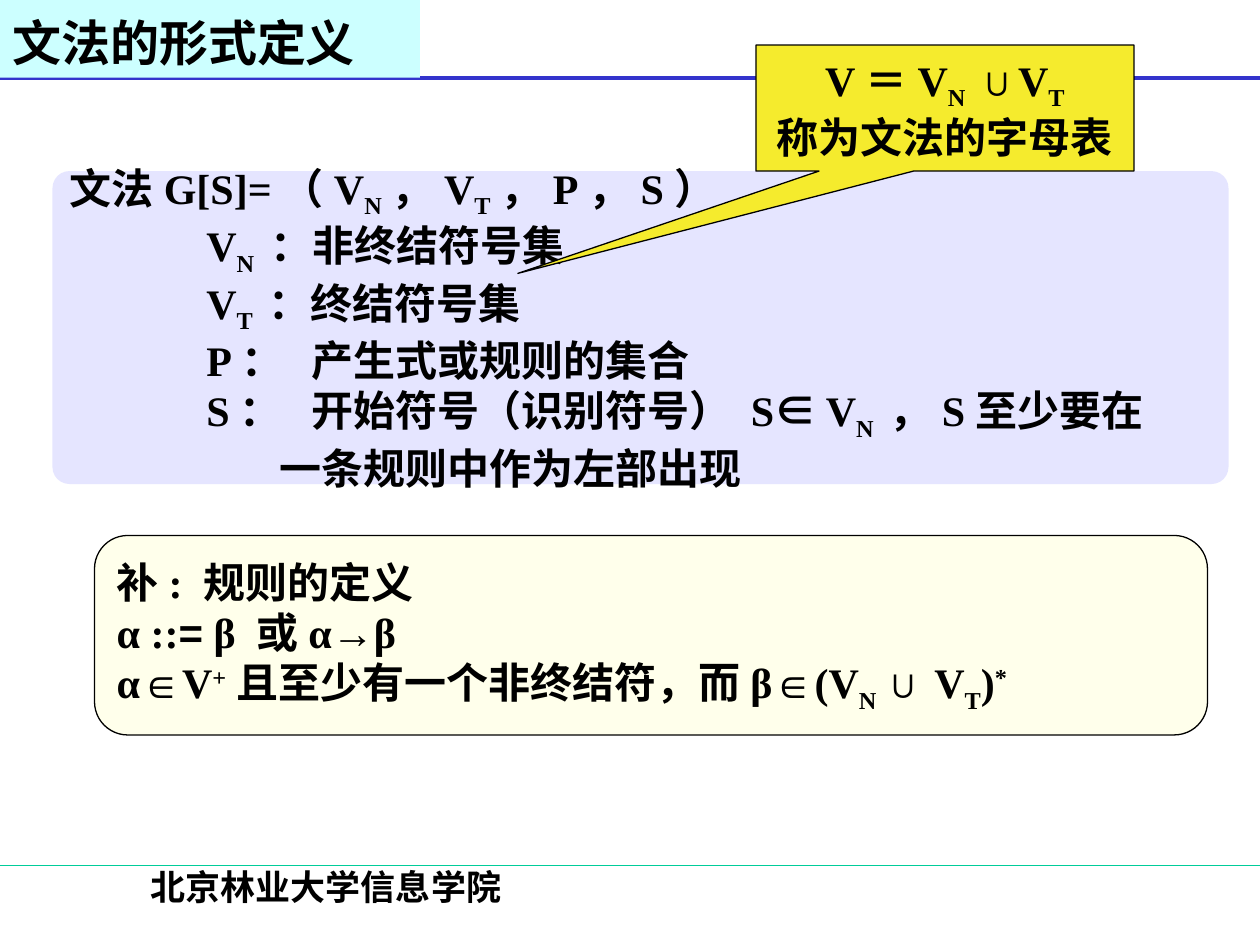
"""Build a slide on the formal definition of a grammar."""
import lxml.etree
import pptx
import pptx.dml.color
import pptx.enum.shapes
import pptx.enum.text
import pptx.oxml.ns
import pptx.util

SHAPE = pptx.enum.shapes.MSO_SHAPE
ANCHOR = pptx.enum.text.MSO_ANCHOR
ALIGN = pptx.enum.text.PP_ALIGN
SERIF, SANS, CHINESE = "Times New Roman", "Arial", "Noto Sans CJK SC"
SUB, SUPER = -25, 30

presentation = pptx.Presentation()
presentation.slide_width = pptx.util.Inches(10)
presentation.slide_height = pptx.util.Inches(7.5)
COLUMN = presentation.slide_width / 120
ROW = presentation.slide_height / 90
slide = presentation.slides.add_slide(presentation.slide_layouts[6])


def color(value):
    """Turn a hex string into a colour."""
    return pptx.dml.color.RGBColor.from_string(value)


def write(paragraph, pieces, size=24, align=ALIGN.LEFT, margin=0, hanging=0):
    """Write pieces, each a text or a (text, baseline or font) pair."""
    paragraph.alignment = align
    properties = paragraph._p.get_or_add_pPr()
    properties.set("marL", str(round(margin * COLUMN)))
    properties.set("indent", str(round(-hanging * COLUMN)))
    for piece in pieces:
        text, style = (piece, SERIF) if isinstance(piece, str) else piece
        run = paragraph.add_run()
        run.text = text
        run.font.size = pptx.util.Pt(size)
        run.font.bold = True
        run.font.color.rgb = color("000000")
        run.font.name = style if isinstance(style, str) else SERIF
        run_properties = run._r.get_or_add_rPr()
        run_properties.set("lang", "zh-CN")
        lxml.etree.SubElement(run_properties, pptx.oxml.ns.qn("a:ea"), typeface=CHINESE)
        if not isinstance(style, str):
            run_properties.set("baseline", str(style * 1000))


for row, line_color, weight in [(7.4, "3333CC", 2.25), (82.4, "00CC99", 0.75)]:
    y = round(row * ROW)
    rule = slide.shapes.add_connector(
        pptx.enum.shapes.MSO_CONNECTOR.STRAIGHT, 0, y, presentation.slide_width, y)
    rule.line.color.rgb = color(line_color)
    rule.line.width = pptx.util.Pt(weight)
    lxml.etree.SubElement(rule._element.spPr, pptx.oxml.ns.qn("a:effectLst"))

N, T = ("N", SUB), ("T", SUB)
entry = {"margin": 13}
labelled = {"margin": 23, "hanging": 10}
centred = {"align": ALIGN.CENTER}

footer = [(["北京林业大学信息学院"], {"size": 20, **centred})]
definition = [
    (["文法G[S]=（V", N, "，V", T, "，P，S）"], {}),
    (["V", ("N ", SUB), "：非终结符号集"], entry),
    (["V", ("T ", SUB), "：终结符号集"], entry),
    (["P：\t产生式或规则的集合"], labelled),
    (["S：\t开始符号（识别符号） S", ("∈ ", CHINESE), "V", ("N ", SUB), "，S至少要在"], labelled),
    (["一条规则中作为左部出现"], {"margin": 20}),
]
alphabet = [
    (["V＝V", N, " ∪V", T], centred),
    (["称为文法的字母表"], centred),
]
rules = [
    (["补: 规则的定义"], {}),
    (["α ::", ("=", SANS), " β 或α", ("→", SANS), "β"], {}),
    (["α∈V", ("+", SUPER), "且至少有一个非终结符，而β∈(V", ("N ", SUB), "∪ V", T, ")",
      ("*", SUPER)], {}),
]
title = [(["文法的形式定义"], {"size": 28})]

boxes = [
    (SHAPE.RECTANGLE, (6.2, 81.8, 49.7, 6), [], None, False, ANCHOR.TOP, footer),
    (SHAPE.ROUNDED_RECTANGLE, (5, 16.3, 112, 29.8), [0.054], "CCCCFF", False,
     ANCHOR.MIDDLE, definition),
    (SHAPE.RECTANGULAR_CALLOUT, (72, 4.3, 36, 12), [-1.13, 1.312], "F5EB2D", True,
     ANCHOR.MIDDLE, alphabet),
    (SHAPE.FLOWCHART_ALTERNATE_PROCESS, (9, 51, 106, 19), [], "FFFFEB", True,
     ANCHOR.MIDDLE, rules),
    (SHAPE.RECTANGLE, (0, 0, 40, 7.4), [], "CCFFFF", False, ANCHOR.BOTTOM, title),
]
for kind, (left, top, width, height), adjustments, fill, outlined, anchor, lines in boxes:
    shape = slide.shapes.add_shape(
        kind, round(left * COLUMN), round(top * ROW), round(width * COLUMN), round(height * ROW))
    shape.shadow.inherit = False
    for index, adjustment in enumerate(adjustments):
        shape.adjustments[index] = adjustment
    if fill:
        shape.fill.solid()
        shape.fill.fore_color.rgb = color(fill)
    else:
        shape.fill.background()
    if lines is definition:
        tint = shape._element.spPr.find(".//" + pptx.oxml.ns.qn("a:srgbClr"))
        lxml.etree.SubElement(tint, pptx.oxml.ns.qn("a:alpha"), val="50000")
    if outlined:
        shape.line.color.rgb = color("000000")
        shape.line.width = pptx.util.Pt(0.75)
    else:
        shape.line.fill.background()
    frame = shape.text_frame
    frame.word_wrap = True
    frame.vertical_anchor = anchor
    for index, (pieces, style) in enumerate(lines):
        paragraph = frame.add_paragraph() if index else frame.paragraphs[0]
        write(paragraph, pieces, **style)

presentation.save("out.pptx")
